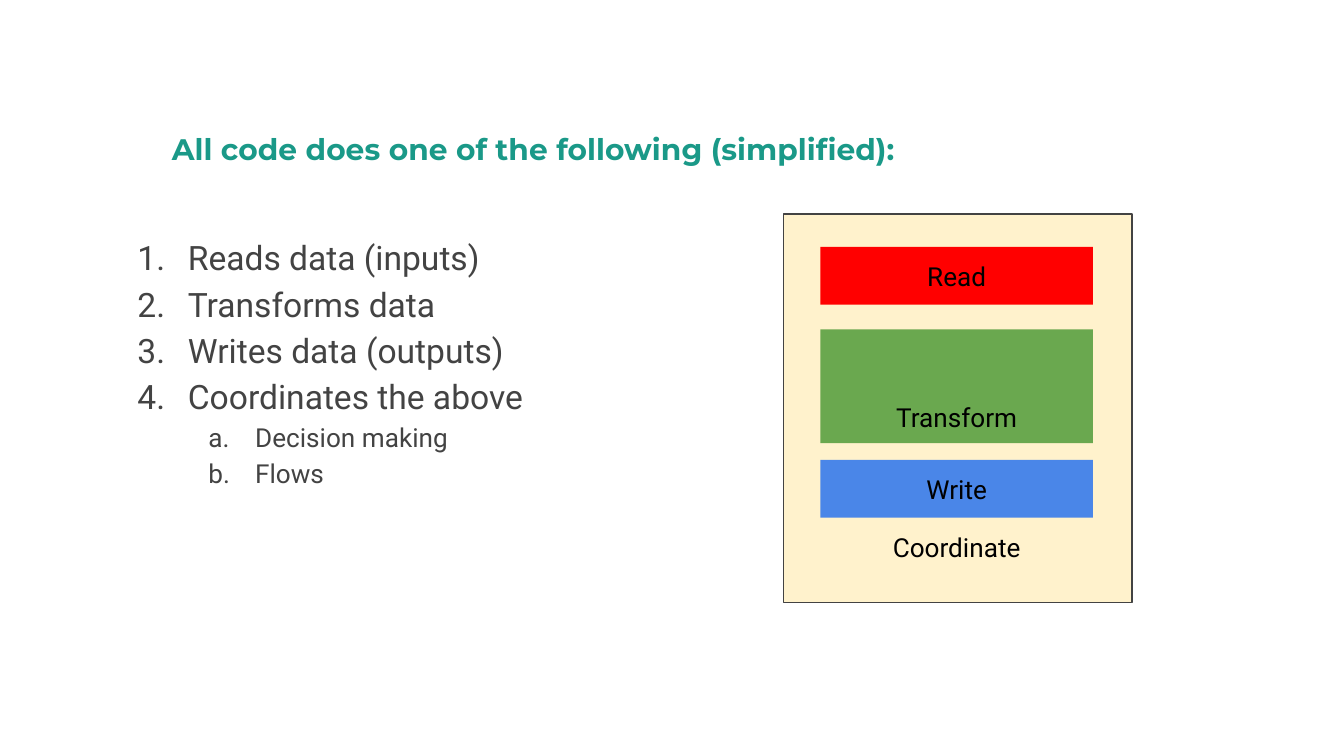
from lxml import etree
from pptx import Presentation
from pptx.dml.color import RGBColor
from pptx.enum.shapes import MSO_SHAPE
from pptx.enum.text import MSO_ANCHOR, MSO_AUTO_SIZE, PP_ALIGN
from pptx.oxml.ns import qn
from pptx.util import Pt

RECTANGLE = MSO_SHAPE.RECTANGLE
TOP, MIDDLE = MSO_ANCHOR.TOP, MSO_ANCHOR.MIDDLE
LEFT, CENTER = PP_ALIGN.LEFT, PP_ALIGN.CENTER
NO_AUTOFIT = MSO_AUTO_SIZE.NONE

COLORS = {
    "title": "1A9988",
    "body": "434343",
    "label": "000000",
    "coordinate": "FFF2CC",
    "read": "FF0000",
    "transform": "6AA84F",
    "write": "4A86E8",
}

STEPS = [
    ("Reads data (inputs)", 0),
    ("Transforms data", 0),
    ("Writes data (outputs)", 0),
    ("Coordinates the above", 0),
    ("Decision making", 1),
    ("Flows", 1),
]
# Per list level: left margin, hanging indent, text size, numbering
LEVELS = [(36, 27, 18, "arabicPeriod"), (72, 25, 14, "alphaLcPeriod")]


def color(key):
    return RGBColor.from_string(COLORS[key])


def format_frame(frame, anchor, inset_x, inset_y):
    values = {
        "word_wrap": True,
        "auto_size": NO_AUTOFIT,
        "vertical_anchor": anchor,
        "margin_left": Pt(inset_x),
        "margin_right": Pt(inset_x),
        "margin_top": Pt(inset_y),
        "margin_bottom": Pt(inset_y),
    }
    for name, value in values.items():
        setattr(frame, name, value)


def write(paragraph, text, font, size, color_key, align=LEFT, spacing=1.0, bold=False):
    paragraph.alignment = align
    paragraph.line_spacing = spacing
    run = paragraph.add_run()
    run.text = text
    for name, value in {"name": font, "size": Pt(size), "bold": bold}.items():
        setattr(run.font, name, value)
    run.font.color.rgb = color(color_key)


def add_title(slide, text):
    title = slide.shapes.title
    box = {"left": 87.1, "top": 74.2, "width": 562.3, "height": 13}
    for name, value in box.items():
        setattr(title, name, Pt(value))
    format_frame(title.text_frame, MIDDLE, 5, 5)
    write(title.text_frame.paragraphs[0], text, "Montserrat", 15.9, "title",
          spacing=0.9, bold=True)


def number(paragraph, level):
    margin, hanging, _, scheme = LEVELS[level]
    paragraph.level = level
    properties = paragraph._p.get_or_add_pPr()
    properties.set("marL", str(Pt(margin)))
    properties.set("indent", str(-Pt(hanging)))
    bullet_color = etree.SubElement(properties, qn("a:buClr"))
    etree.SubElement(bullet_color, qn("a:srgbClr"), val=COLORS["body"])
    etree.SubElement(properties, qn("a:buFont"), typeface="Roboto")
    etree.SubElement(properties, qn("a:buAutoNum"), type=scheme)


def add_steps(slide):
    steps = slide.shapes.add_textbox(Pt(57.6), Pt(116.6), Pt(242.6), Pt(262.8))
    frame = steps.text_frame
    format_frame(frame, TOP, 7.2, 7.2)
    for index, (text, level) in enumerate(STEPS):
        paragraph = frame.add_paragraph() if index else frame.paragraphs[0]
        number(paragraph, level)
        write(paragraph, text, "Roboto", LEVELS[level][2], "body", spacing=1.15)


def add_block(slide, box, fill, outline=None):
    block = slide.shapes.add_shape(RECTANGLE, *map(Pt, box))
    block.shadow.inherit = False
    block.fill.solid()
    block.fill.fore_color.rgb = color(fill)
    if outline:
        block.line.color.rgb = color(outline)
        block.line.width = Pt(0.75)
    else:
        block.line.fill.background()
    return block


def add_label(shape, text, inset_y=7.2, spacing=1.0):
    format_frame(shape.text_frame, TOP, 7.2, inset_y)
    write(shape.text_frame.paragraphs[0], text, "Roboto", 14, "label",
          align=CENTER, spacing=spacing)


def add_diagram(slide):
    left, width, height = 439.5, 146, 31
    add_block(slide, (419.8, 114.6, 186.7, 208.2), "coordinate", outline="body")

    read = add_block(slide, (left, 132.3, width, height), "read")
    add_label(read, "Read")

    transform = add_block(slide, (left, 176.5, width, 61), "transform")
    add_label(transform, "Transform", inset_y=21.6, spacing=2.0)

    write_top = 246.4
    write_block = add_block(slide, (left, write_top, width, height), "write")
    add_label(write_block, "Write")

    # The caption follows directly below the last block
    caption = slide.shapes.add_textbox(
        Pt(left), Pt(write_top + height), Pt(width), Pt(height))
    add_label(caption, "Coordinate")


def main():
    deck = Presentation()
    deck.slide_width, deck.slide_height = Pt(720), Pt(405)
    slide = deck.slides.add_slide(deck.slide_layouts[5])
    add_title(slide, "All code does one of the following (simplified):")
    add_steps(slide)
    add_diagram(slide)
    deck.save("out.pptx")


if __name__ == "__main__":
    main()
